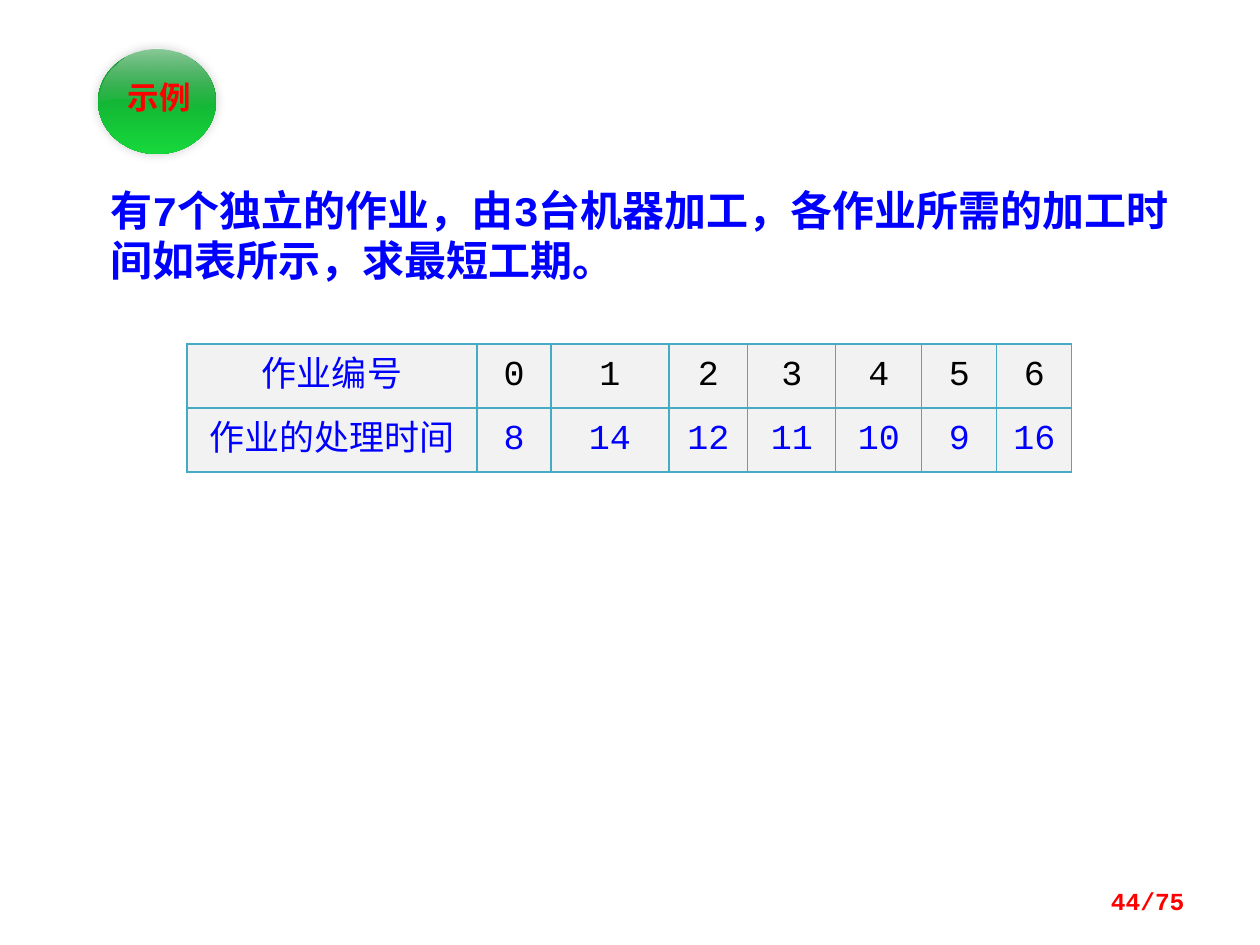
from dataclasses import dataclass
from lxml.etree import SubElement
from pptx import Presentation
from pptx.dml.color import RGBColor
from pptx.enum.shapes import MSO_SHAPE
from pptx.enum.text import MSO_ANCHOR, PP_ALIGN
from pptx.oxml.ns import qn
from pptx.util import Emu, Inches, Pt

BLUE = RGBColor(0x00, 0x00, 0xFF)
BLACK = RGBColor(0x00, 0x00, 0x00)
RED = RGBColor(0xFF, 0x00, 0x00)
WHITE = RGBColor(0xFF, 0xFF, 0xFF)
SILVER = RGBColor(0xB6, 0xB6, 0xB6)
DARK_GREEN = RGBColor(0x10, 0x94, 0x2F)
LIGHT_GREEN = RGBColor(0x16, 0xD8, 0x3B)
CELL_GRAY = RGBColor(0xF2, 0xF2, 0xF2)
BORDER = "46AAC5"

MONO = "Courier New"
CJK = "Noto Sans CJK SC"
PX = 914400 / 126
GLOSS_STEPS = 16


@dataclass
class Box:
    x: int
    y: int
    w: int
    h: int

    def emu(self) -> tuple:
        return tuple(px(v) for v in (self.x, self.y, self.w, self.h))


@dataclass
class JobRow:
    label: str
    values: list
    color: RGBColor


COLUMNS = [290, 74, 118, 79, 88, 86, 75, 75]
ROW_HEIGHT = 64
ROWS = [
    JobRow("作业编号", [0, 1, 2, 3, 4, 5, 6], BLACK),
    JobRow("作业的处理时间", [8, 14, 12, 11, 10, 9, 16], BLUE),
]
GLOSS_START = (200, 67)
GLOSS_CURVES = [
    ((209, 76), (214, 87), (214, 101)),
    ((174, 121), (147, 88), (100, 101)),
    ((100, 87), (106, 74), (116, 66)),
    ((126, 55), (141, 49), (157, 49)),
    ((175, 49), (190, 57), (200, 67)),
]


def px(value: float) -> Emu:
    return Emu(round(value * PX))


def write(tf, text: str, *, size: int, color: RGBColor, font: str = MONO,
          bold: bool = True, align=PP_ALIGN.LEFT, spacing=None) -> None:
    p = tf.paragraphs[0]
    p.alignment = align
    if spacing:
        p.line_spacing = spacing
    r = p.add_run()
    r.text = text
    r.font.size = Pt(size)
    r.font.bold = bold
    r.font.color.rgb = color
    r.font.name = font
    SubElement(r.font._element, qn("a:ea"), typeface=CJK)


def add_text(shapes, box: Box, text: str, anchor=MSO_ANCHOR.TOP, **fmt) -> None:
    tf = shapes.add_textbox(*box.emu()).text_frame
    tf.word_wrap = True
    tf.vertical_anchor = anchor
    write(tf, text, **fmt)


def fill_down(sp, top: RGBColor, bottom: RGBColor, alphas: tuple = ()) -> None:
    sp.shadow.inherit = False
    sp.line.fill.background()
    sp.fill.gradient()
    sp.fill.gradient_angle = 270
    for stop, color in zip(sp.fill.gradient_stops, (top, bottom)):
        stop.color.rgb = color
    colors = sp._element.spPr.iter(qn("a:srgbClr"))
    for clr, alpha in zip(list(colors), alphas):
        SubElement(clr, qn("a:alpha"), val=str(alpha * 1000))


def add_glow(sp) -> None:
    effects = sp._element.spPr.find(qn("a:effectLst"))
    shadow = SubElement(effects, qn("a:outerShdw"), blurRad=str(Pt(6)), dist="0",
                        dir="18900000", algn="ctr", rotWithShape="0")
    clr = SubElement(shadow, qn("a:srgbClr"), val="000000")
    SubElement(clr, qn("a:alpha"), val="20000")


def curve_points(start: tuple, curves: list) -> list:
    points = []
    for a, b, end in curves:
        for i in range(1, GLOSS_STEPS + 1):
            t = i / GLOSS_STEPS
            u = 1 - t
            points.append(tuple(
                px(u**3 * s + 3 * u * u * t * m + 3 * u * t * t * n + t**3 * e)
                for s, m, n, e in zip(start, a, b, end)))
        start = end
    return points


def add_badge(shapes) -> None:
    group = shapes.add_group_shape().shapes
    ball = group.add_shape(MSO_SHAPE.OVAL, *Box(98, 49, 118, 105).emu())
    fill_down(ball, DARK_GREEN, LIGHT_GREEN)
    add_glow(ball)
    builder = group.build_freeform(*(px(v) for v in GLOSS_START))
    builder.add_line_segments(curve_points(GLOSS_START, GLOSS_CURVES))
    fill_down(builder.convert_to_shape(), WHITE, SILVER, (53, 0))
    add_text(group, Box(105, 79, 108, 43), "示例", MSO_ANCHOR.MIDDLE, size=18,
             color=RED, font=CJK, align=PP_ALIGN.CENTER, spacing=0.8)


def format_cell(cell, text: str, color: RGBColor) -> None:
    cell.margin_left = cell.margin_right = px(9)
    cell.margin_top = cell.margin_bottom = 0
    write(cell.text_frame, text, size=20, color=color, bold=False,
          align=PP_ALIGN.CENTER, spacing=Pt(30))
    tcPr = cell._tc.get_or_add_tcPr()
    for side in ("lnL", "lnR", "lnT", "lnB"):
        ln = SubElement(tcPr, qn(f"a:{side}"), w=str(Pt(0.75)))
        SubElement(SubElement(ln, qn("a:solidFill")), qn("a:srgbClr"), val=BORDER)
    cell.fill.solid()
    cell.fill.fore_color.rgb = CELL_GRAY


def add_job_table(shapes, x: int, y: int) -> None:
    box = Box(x, y, sum(COLUMNS), ROW_HEIGHT * len(ROWS))
    table = shapes.add_table(len(ROWS), len(COLUMNS), *box.emu()).table
    table.first_row = table.horz_banding = False
    for column, width in zip(table.columns, COLUMNS):
        column.width = px(width)
    for i, row in enumerate(ROWS):
        table.rows[i].height = px(ROW_HEIGHT)
        format_cell(table.cell(i, 0), row.label, BLUE)
        for j, value in enumerate(row.values, 1):
            format_cell(table.cell(i, j), str(value), row.color)


def main() -> None:
    prs = Presentation()
    prs.slide_width, prs.slide_height = Inches(10), Inches(7.5)
    shapes = prs.slides.add_slide(prs.slide_layouts[6]).shapes
    add_text(shapes, Box(98, 178, 1102, 115),
             "有7个独立的作业，由3台机器加工，各作业所需的加工时间如表所示，求最短工期。",
             size=24, color=BLUE)
    add_job_table(shapes, 187, 344)
    add_badge(shapes)
    add_text(shapes, Box(903, 876, 294, 50), "44/75", MSO_ANCHOR.MIDDLE,
             size=14, color=RED, align=PP_ALIGN.RIGHT)
    prs.save("out.pptx")


if __name__ == "__main__":
    main()
